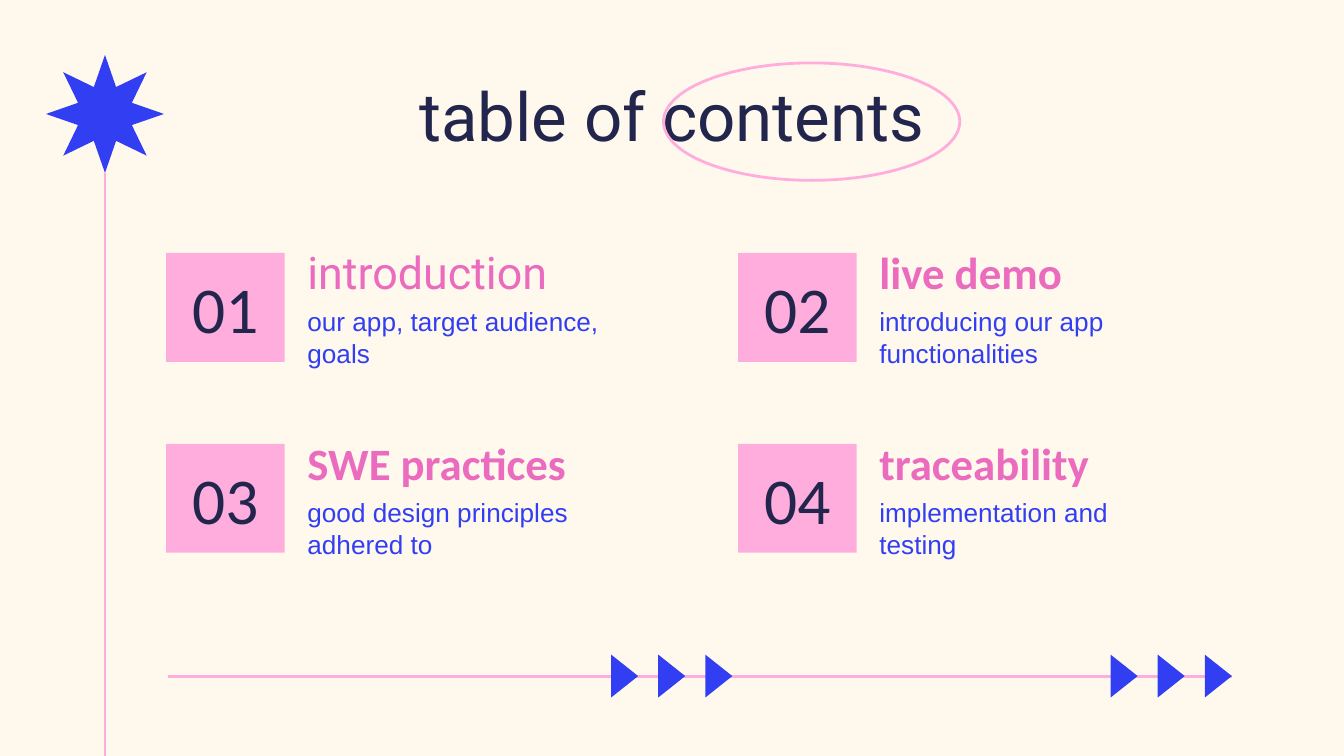
import pptx
import pptx.util
import pptx.dml.color
import pptx.enum.shapes
import pptx.enum.text
import pptx.oxml
import pptx.oxml.ns

Cm = pptx.util.Cm
Pt = pptx.util.Pt
SHAPE = pptx.enum.shapes.MSO_SHAPE
ALIGN = pptx.enum.text.PP_ALIGN

CREAM, NAVY, BLUE = "FFF9ED", "22254C", "313EF2"
PINK, ROSE = "FEADDD", "EB6BBE"


def rgb(value):
    return pptx.dml.color.RGBColor.from_string(value)


def add_shape(s, kind, x, y, w, h, fill=None, line=None):
    sp = s.shapes.add_shape(kind, Cm(x), Cm(y), Cm(w), Cm(h))
    sp.shadow.inherit = False
    if fill:
        sp.fill.solid()
        sp.fill.fore_color.rgb = rgb(fill)
    else:
        sp.fill.background()
    if line:
        sp.line.color.rgb = rgb(line)
        sp.line.width = Pt(1.5)
    else:
        sp.line.fill.background()
    return sp


def add_line(s, x1, y1, x2, y2):
    line = s.shapes.add_connector(
        pptx.enum.shapes.MSO_CONNECTOR.STRAIGHT, Cm(x1), Cm(y1), Cm(x2), Cm(y2))
    line.line.color.rgb = rgb(PINK)
    line.line.width = Pt(1.5)
    pptx.oxml.ns.qn("a:effectLst")
    line._element.spPr.append(pptx.oxml.parse_xml(
        '<a:effectLst xmlns:a="http://schemas.openxmlformats.org/drawingml/2006/main"/>'))


def write(sp, text, size, font, color, align=ALIGN.LEFT, bold=False):
    tf = sp.text_frame
    tf.word_wrap = True
    tf.vertical_anchor = pptx.enum.text.MSO_ANCHOR.MIDDLE
    tf.margin_left = tf.margin_right = tf.margin_top = tf.margin_bottom = Cm(0.25)
    p = tf.paragraphs[0]
    p.alignment = align
    r = p.add_run()
    r.text = text
    r.font.size = Pt(size)
    r.font.name = font
    r.font.bold = bold
    r.font.color.rgb = rgb(color)


def add_text(s, x, y, w, h, *style, **options):
    write(s.shapes.add_textbox(Cm(x), Cm(y), Cm(w), Cm(h)), *style, **options)


def add_star_stem(s, x, y, size, bottom):
    star = add_shape(s, SHAPE.STAR_8_POINT, x, y, size, size, fill=BLUE)
    star.adjustments[0] = 0.247
    middle = x + size / 2
    add_line(s, middle, y + size, middle, bottom)


def add_arrow_line(s, x, y, w):
    length, base, pitch = 0.51, 0.81, 0.89
    add_line(s, x, y, x + w, y)
    for start in (8.38, 17.82):
        for i in range(3):
            center = x + start + i * pitch + length / 2
            sp = add_shape(s, SHAPE.ISOSCELES_TRIANGLE, center - base / 2,
                           y - length / 2, base, length, fill=BLUE)
            sp.rotation = 90


def add_title(s, x, y, w, h):
    add_text(s, x, y, w, h, "table of contents", 36, "Roboto", NAVY, align=ALIGN.CENTER)


def add_entry(s, x, y, number, heading, font, body, body_width):
    box = add_shape(s, SHAPE.RECTANGLE, x, y, 2.24, 2.06, fill=PINK)
    write(box, number, 35, "Calibri", NAVY, align=ALIGN.CENTER)
    text_x = x + 2.42
    add_text(s, text_x, y - 0.06, 6.88, 0.84, heading, 24, font, ROSE,
             bold=font == "Calibri")
    add_text(s, text_x, y + 0.94, body_width, 1.3, body, 14, "Arial", BLUE)


def add_entries(s, x, y, column_pitch, row_pitch):
    entries = [
        ("introduction", "Roboto", "our app, target audience, goals", 6.88),
        ("live demo", "Calibri", "introducing our app functionalities", 6.88),
        ("SWE practices", "Calibri", "good design principles adhered to", 6.88),
        ("traceability", "Calibri", "implementation and testing", 6.2),
    ]
    for i, entry in enumerate(entries):
        row, column = divmod(i, 2)
        add_entry(s, x + column * column_pitch, y + row * row_pitch,
                  f"{i + 1:02d}", *entry)


def main():
    prs = pptx.Presentation()
    prs.slide_width, prs.slide_height = Cm(25.4), Cm(14.29)
    s = prs.slides.add_slide(prs.slide_layouts[6])
    s.background.fill.solid()
    s.background.fill.fore_color.rgb = rgb(CREAM)
    add_star_stem(s, 0.87, 1.04, 2.23, 14.29)
    add_arrow_line(s, 3.17, 12.78, 20.12)
    add_title(s, 1.98, 1.5, 21.44, 1.32)
    add_entries(s, 3.14, 4.78, 10.81, 3.61)
    add_shape(s, SHAPE.OVAL, 12.54, 1.19, 5.6, 2.22, line=PINK)
    prs.save("out.pptx")


if __name__ == "__main__":
    main()
